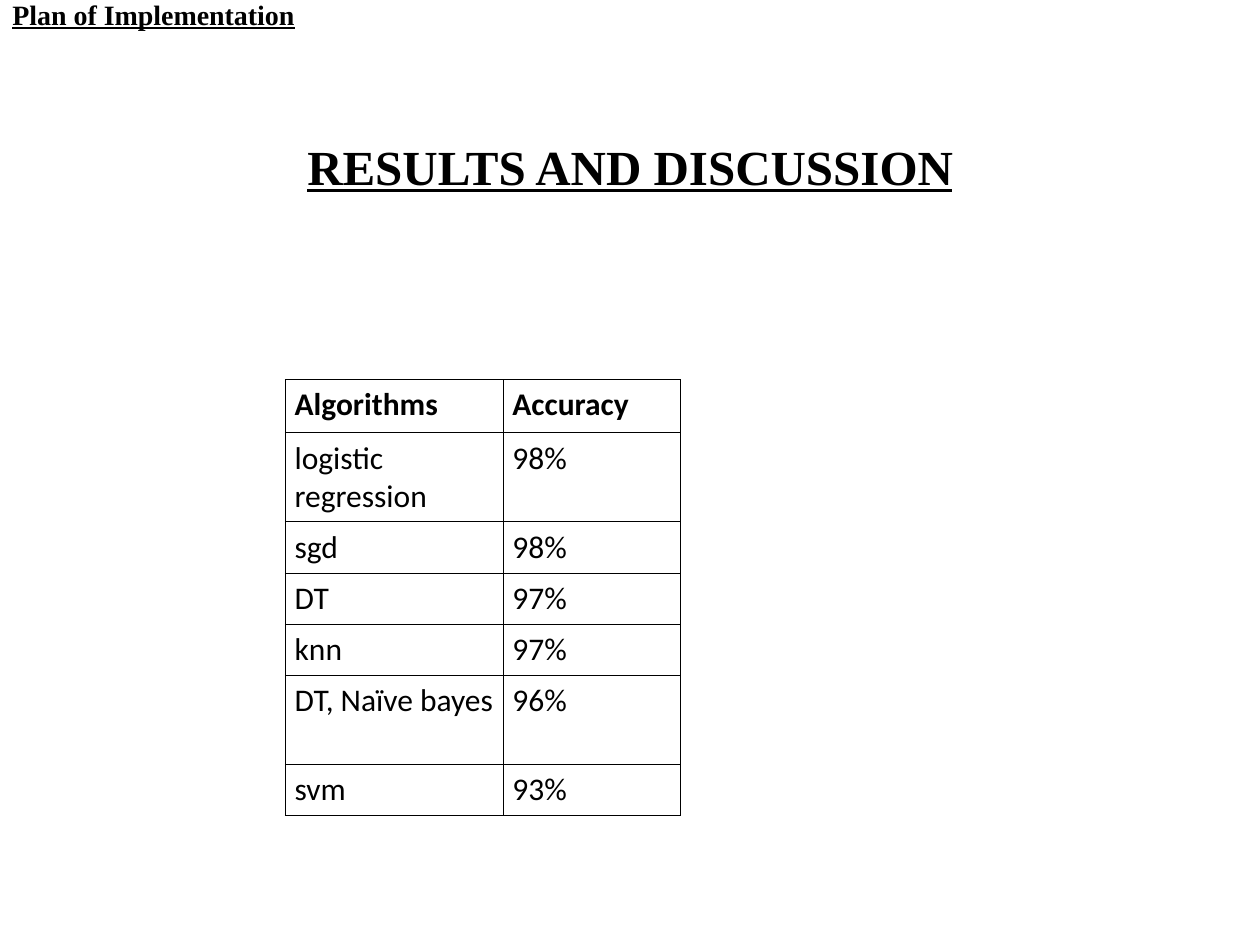
from lxml.etree import SubElement
from pptx import Presentation
from pptx.dml.color import RGBColor
from pptx.enum.text import MSO_ANCHOR, PP_ALIGN
from pptx.oxml.ns import qn
from pptx.util import Cm, Pt

BLACK = "000000"
SERIF = "Times New Roman"
SANS = "Calibri"

ROWS = [
    ("Algorithms", "Accuracy"),
    ("logistic regression", "98%"),
    ("sgd", "98%"),
    ("DT", "97%"),
    ("knn", "97%"),
    ("DT, Naïve bayes", "96%"),
    ("svm", "93%"),
]
WIDTHS = (4.39, 3.58)
HEAD, LOW, TALL = 1.07, 1.03, 1.8
HEIGHTS = (HEAD, TALL, LOW, LOW, LOW, TALL, LOW)


def color(code):
    return RGBColor.from_string(code)


def style(para, face, size, bold=False, under=False):
    font = para.font
    font.name, font.size = face, Pt(size)
    font.bold, font.underline = bold, under
    font.color.rgb = color(BLACK)


def heading(slide, box, text, size, align, foot=0):
    """Underlined bold line, centred in the box above the foot margin."""
    frame = slide.shapes.add_textbox(*map(Cm, box)).text_frame
    frame.word_wrap = True
    frame.vertical_anchor = MSO_ANCHOR.MIDDLE
    frame.margin_top, frame.margin_bottom = 0, Cm(foot)
    para = frame.paragraphs[0]
    para.text = text
    para.alignment = align
    style(para, SERIF, size, bold=True, under=True)


def border(cell):
    """Thin black line on all four sides."""
    props = cell._tc.get_or_add_tcPr()
    for at, side in enumerate(("lnL", "lnR", "lnT", "lnB")):
        line = props.makeelement(qn(f"a:{side}"), {"w": str(Pt(0.5))})
        fill = SubElement(line, qn("a:solidFill"))
        SubElement(fill, qn("a:srgbClr"), val=BLACK)
        props.insert(at, line)


def scores(slide, left, top):
    """Accuracy table, sized by its columns and rows."""
    size = (left, top, sum(WIDTHS), sum(HEIGHTS))
    grid = slide.shapes.add_table(len(ROWS), len(WIDTHS), *map(Cm, size)).table
    grid.horz_banding = False
    for col, width in zip(grid.columns, WIDTHS):
        col.width = Cm(width)
    for r, (height, texts) in enumerate(zip(HEIGHTS, ROWS)):
        grid.rows[r].height = Cm(height)
        for c, text in enumerate(texts):
            cell = grid.cell(r, c)
            cell.text = text
            cell.margin_left = cell.margin_right = Cm(0.19)
            cell.margin_top = cell.margin_bottom = Cm(0.13)
            cell.fill.background()
            border(cell)
            style(cell.text_frame.paragraphs[0], SANS, 18, bold=r == 0)


def main():
    deck = Presentation()
    deck.slide_width, deck.slide_height = Cm(25.4), Cm(19.05)
    slide = deck.slides.add_slide(deck.slide_layouts[6])

    # Title
    heading(slide, (1.27, 2.74, 22.86, 1.2), "RESULTS AND DISCUSSION", 28,
            PP_ALIGN.CENTER)
    # Results
    scores(slide, 5.75, 7.65)
    # Section label along the top edge
    heading(slide, (0, 0, 25.4, 1.27), "Plan of Implementation", 16,
            PP_ALIGN.LEFT, foot=0.71)

    deck.save("out.pptx")


if __name__ == "__main__":
    main()
